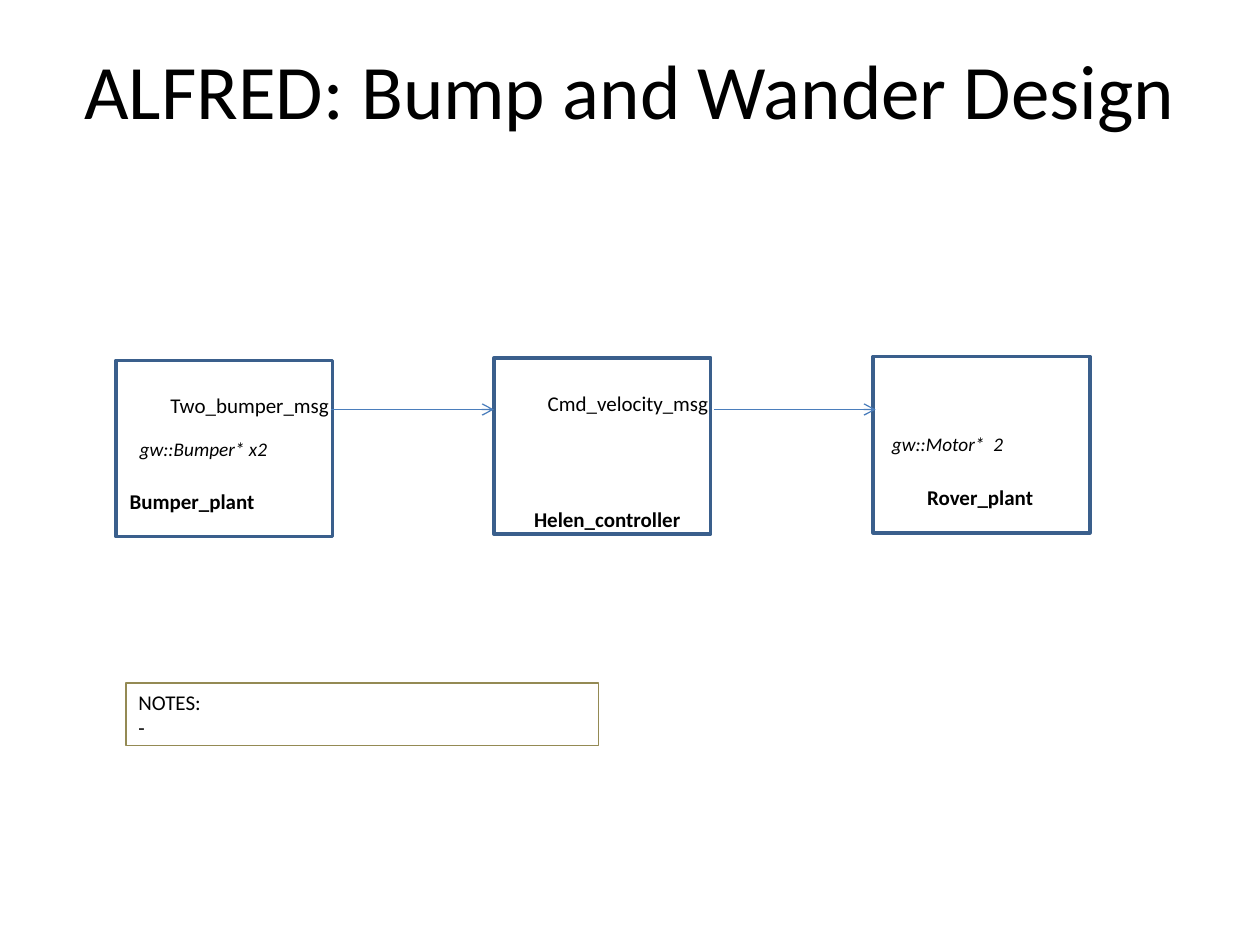
from lxml import etree
from pptx import Presentation, util as u
from pptx.dml.color import RGBColor
from pptx.enum import shapes, text
from pptx.oxml.ns import qn

BLACK = RGBColor(0x00, 0x00, 0x00)
NAVY = RGBColor(0x3A, 0x5F, 0x8C)
BLUE = RGBColor(0x4B, 0x7E, 0xBC)
TAN = RGBColor(0x94, 0x8A, 0x54)
LEFT, RIGHT, MID = text.PP_ALIGN.LEFT, text.PP_ALIGN.RIGHT, text.PP_ALIGN.CENTER


class Page:
    """Style and current slide; lengths are cells of a 100 x 75 grid."""
    font = "Calibri"

    def __init__(self, deck):
        self.cell = deck.slide_width / 100
        self.slide = deck.slides.add_slide(deck.slide_layouts[5])

    def grid(self, *cells):
        return [u.Emu(round(c * self.cell)) for c in cells]

    def label(self, shape, words, size=12, align=LEFT, bold=False, slant=False):
        frame = shape.text_frame
        frame.text = words
        frame.word_wrap = True
        for para in frame.paragraphs:
            para.alignment = align
            for run in para.runs:
                font = run.font
                font.name, font.size = self.font, u.Pt(size)
                font.bold, font.italic = bold, slant
                font.color.rgb = BLACK
        return frame

    def title(self, words, *at):
        shape = self.slide.shapes.title
        shape.left, shape.top, shape.width, shape.height = self.grid(*at)
        frame = self.label(shape, words, 44, MID)
        frame.vertical_anchor = text.MSO_ANCHOR.MIDDLE

    def box(self, home, at, color, width):
        shape = home.add_shape(shapes.MSO_SHAPE.RECTANGLE, *self.grid(*at))
        shape.shadow.inherit = False
        shape.fill.background()
        shape.line.color.rgb, shape.line.width = color, u.Pt(width)
        return shape

    def node(self, x, y, labels):
        group = self.slide.shapes.add_group_shape().shapes
        self.box(group, (x, y, 17.2, 14), NAVY, 2)
        for words, dx, dy, wide, high, style in labels:
            area = group.add_textbox(*self.grid(x + dx, y + dy, wide, high))
            self.label(area, words, **style)

    def note(self, words, *at):
        shape = self.box(self.slide.shapes, at, TAN, 0.75)
        frame = self.label(shape, words)
        frame.vertical_anchor = text.MSO_ANCHOR.TOP

    def arrow(self, x, y, end):
        link = self.slide.shapes.add_connector(
            shapes.MSO_CONNECTOR.STRAIGHT, *self.grid(x, y, end, y))
        link.line.color.rgb, link.line.width = BLUE, u.Pt(0.75)
        props = link._element.spPr
        etree.SubElement(props.find(qn("a:ln")), qn("a:tailEnd"), type="arrow")
        etree.SubElement(props, qn("a:effectLst"))


def main():
    deck = Presentation()
    deck.slide_width, deck.slide_height = u.Inches(10), u.Inches(7.5)
    page = Page(deck)
    name, port, part = {"bold": True}, {"align": RIGHT}, {"size": 11, "slant": True}

    page.title("ALFRED: Bump and Wander Design", 5, 0.8, 90, 12.5)

    # Nodes: each label is offset from the corner of its box
    page.node(39.2, 28.4, [
        ("Helen_controller", 2.2, 11.3, 14.3, 3, name),
        ("Cmd_velocity_msg", 2.5, 2.1, 15.5, 3, port)])
    page.node(9.2, 28.6, [
        ("Bumper_plant", 0.1, 9.7, 16.5, 3, name),
        ("Two_bumper_msg", 1.8, 2.1, 16.1, 3, port),
        ("gw::Bumper* x2", 0.9, 5.6, 15.2, 2.9, part)])
    page.node(69.3, 28.3, [
        ("Rover_plant", 3.3, 9.7, 13.2, 4.8, name),
        ("gw::Motor*  2", 0.5, 5.5, 15.2, 2.9, part)])

    # Notes
    page.note("NOTES:\n-", 10, 54.2, 37.5, 5)

    # Messages between nodes
    for x, end in ((26.3, 39.2), (56.7, 69.5)):
        page.arrow(x, 32.5, end)

    deck.save("out.pptx")


if __name__ == "__main__":
    main()
